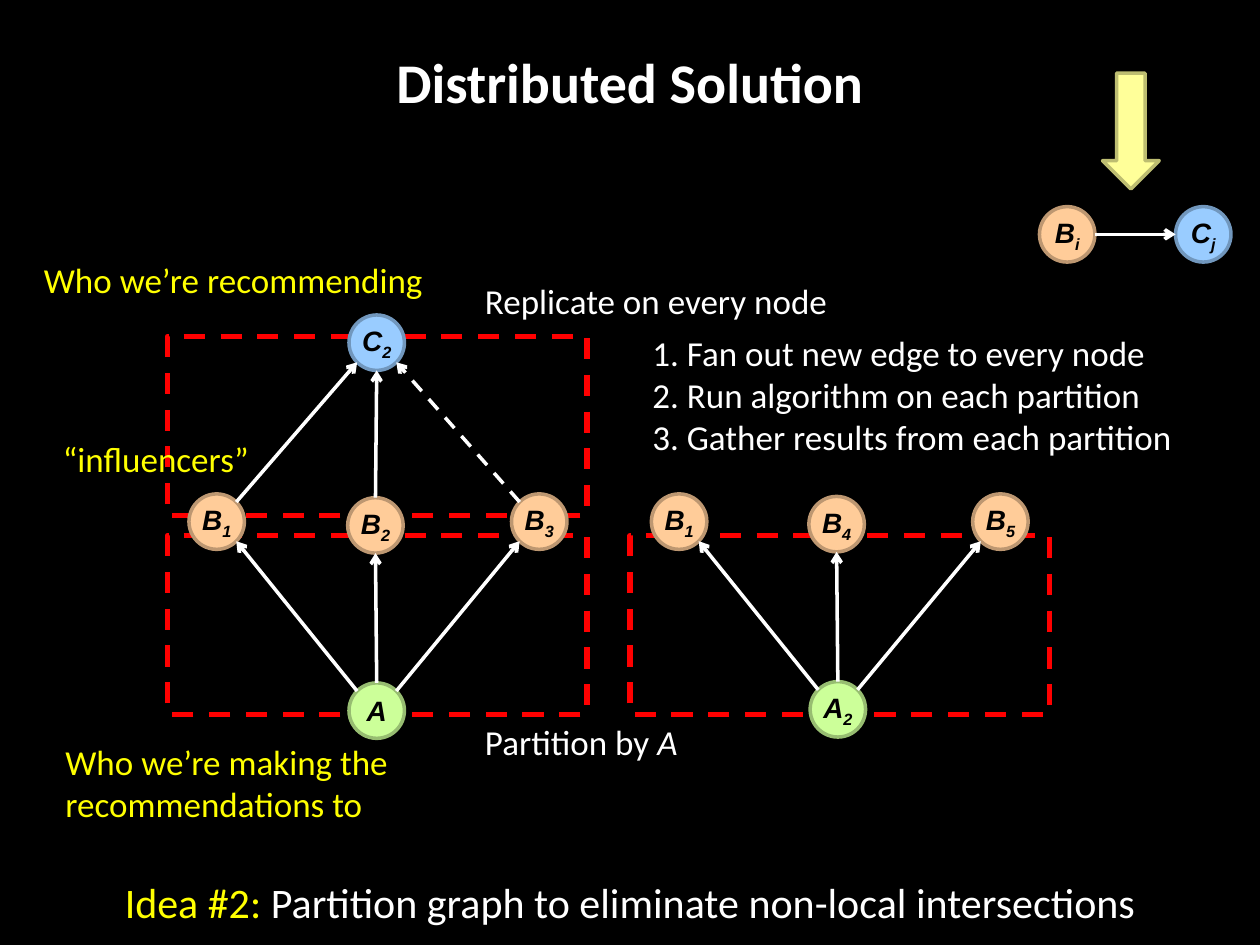
from math import cos, radians, sin

from lxml.etree import SubElement
from pptx import Presentation
from pptx.dml.color import RGBColor
from pptx.enum.dml import MSO_LINE
from pptx.enum.shapes import MSO_CONNECTOR, MSO_SHAPE as SHAPE
from pptx.enum.text import MSO_ANCHOR as ANCHOR, MSO_AUTO_SIZE as AUTO, PP_ALIGN as ALIGN
from pptx.oxml.ns import qn
from pptx.util import Inches, Pt

BLACK = RGBColor(0x00, 0x00, 0x00)
WHITE = RGBColor(0xFF, 0xFF, 0xFF)
YELLOW = RGBColor(0xFF, 0xFF, 0x00)
RED = RGBColor(0xFF, 0x00, 0x00)
ARROW_FILL = RGBColor(0xFF, 0xFF, 0x99)
ARROW_LINE = RGBColor(0xBD, 0xBD, 0x71)
NODE_COLORS = {
    "A": (RGBColor(0xCC, 0xFF, 0x99), RGBColor(0x97, 0xBD, 0x71)),
    "B": (RGBColor(0xFF, 0xCC, 0x99), RGBColor(0xBD, 0x97, 0x71)),
    "C": (RGBColor(0x99, 0xCC, 0xFF), RGBColor(0x71, 0x97, 0xBD)),
}
NODE_SIZE = 0.44

TITLE = "Distributed Solution"
PARTITIONS = [(1.33, 4.25), (1.33, 2.67), (5, 4.25)]
NODES = {
    "a": ("A", "", 2.77, 5.42),
    "b1": ("B", "1", 1.5, 3.92),
    "b2": ("B", "2", 2.76, 3.95),
    "b3": ("B", "3", 4.06, 3.92),
    "c2": ("C", "2", 2.77, 2.5),
    "a2": ("A", "2", 6.43, 5.41),
    "b1_copy": ("B", "1", 5.17, 3.92),
    "b4": ("B", "4", 6.42, 3.94),
    "b5": ("B", "5", 7.72, 3.92),
    "bi": ("B", "i", 8.25, 1.64),
    "cj": ("C", "j", 9.33, 1.64),
}
ANGLES = {"right": 0, "lower right": 45, "bottom": 90, "lower left": 135,
          "left": 180, "upper left": 225, "top": 270, "upper right": 315}
EDGES = [
    ("a", "upper left", "b1", "lower right", False),
    ("a", "top", "b2", "bottom", False),
    ("a", "upper right", "b3", "lower left", False),
    ("b1", "upper right", "c2", "lower left", False),
    ("b2", "top", "c2", "bottom", False),
    ("b3", "upper left", "c2", "lower right", True),
    ("a2", "upper left", "b1_copy", "lower right", False),
    ("a2", "top", "b4", "bottom", False),
    ("a2", "upper right", "b5", "lower left", False),
    ("bi", "right", "cj", "left", False),
]
LABELS = [
    ("Who we’re making the recommendations to", YELLOW, 0.42, 5.83, 2.92, 0.77),
    ("Who we’re recommending", YELLOW, 0.25, 2, 3.5, 0.44),
    ("“influencers”", YELLOW, 0.4, 3.42, 1.94, 0.44),
    ("Replicate on every node", WHITE, 3.75, 2.17, 3.42, 0.44),
]
STEPS = ["Fan out new edge to every node", "Run algorithm on each partition",
         "Gather results from each partition"]


def write(p, text, size=20, color=WHITE, font="Calibri", bold=False, italic=False, sub=False):
    r = p.add_run()
    r.text = text
    f = r.font
    f.size, f.name, f.bold, f.italic = Pt(size), font, bold, italic
    f.color.rgb = color
    if sub:
        f._element.set("baseline", "-25000")


def add_box(slide, x, y, w, h, align=ALIGN.LEFT):
    tf = slide.shapes.add_textbox(Inches(x), Inches(y), Inches(w), Inches(h)).text_frame
    tf.word_wrap = True
    tf.auto_size = AUTO.SHAPE_TO_FIT_TEXT
    p = tf.paragraphs[0]
    p.alignment = align
    return p


def add_shape(slide, kind, x, y, w, h, line, width, fill=None):
    sp = slide.shapes.add_shape(kind, Inches(x), Inches(y), Inches(w), Inches(h))
    sp.shadow.inherit = False
    if fill is None:
        sp.fill.background()
    else:
        sp.fill.solid()
        sp.fill.fore_color.rgb = fill
    sp.line.color.rgb = line
    sp.line.width = Pt(width)
    return sp


def add_node(slide, letter, index, x, y):
    fill, line = NODE_COLORS[letter]
    sp = add_shape(slide, SHAPE.OVAL, x, y, NODE_SIZE, NODE_SIZE, line, 2, fill)
    tf = sp.text_frame
    tf.margin_left = tf.margin_top = tf.margin_right = tf.margin_bottom = 0
    tf.vertical_anchor = ANCHOR.MIDDLE
    p = tf.paragraphs[0]
    p.alignment = ALIGN.CENTER
    style = dict(size=16, color=BLACK, font="Arial", bold=True, italic=True)
    write(p, letter, **style)
    if index:
        write(p, index, sub=True, **style)


def rim_point(node, side):
    x, y = NODES[node][2:]
    radius, angle = NODE_SIZE / 2, radians(ANGLES[side])
    return Inches(x + radius + radius * cos(angle)), Inches(y + radius + radius * sin(angle))


def add_edge(slide, start, start_side, end, end_side, dashed):
    cx = slide.shapes.add_connector(
        MSO_CONNECTOR.STRAIGHT, *rim_point(start, start_side), *rim_point(end, end_side))
    cx.line.color.rgb = WHITE
    cx.line.width = Pt(2)
    if dashed:
        cx.line.dash_style = MSO_LINE.DASH
    SubElement(cx.line._get_or_add_ln(), qn("a:tailEnd"), type="arrow")
    SubElement(cx._element.spPr, qn("a:effectLst"))


def main():
    prs = Presentation()
    prs.slide_width, prs.slide_height = Inches(10), Inches(7.5)
    slide = prs.slides.add_slide(prs.slide_layouts[5])
    slide.background.fill.solid()
    slide.background.fill.fore_color.rgb = BLACK

    title = slide.shapes.title
    title.left, title.top = Inches(0), Inches(0.33)
    title.width, title.height = Inches(10), Inches(0.64)
    tf = title.text_frame
    tf.auto_size = AUTO.NONE
    tf.vertical_anchor = ANCHOR.TOP
    tf.paragraphs[0].alignment = ALIGN.CENTER
    write(tf.paragraphs[0], TITLE, size=32, bold=True)

    for x, y in PARTITIONS:
        sp = add_shape(slide, SHAPE.RECTANGLE, x, y, 3.33, 1.42, RED, 3)
        sp.line.dash_style = MSO_LINE.DASH
    for node in NODES.values():
        add_node(slide, *node)
    for edge in EDGES:
        add_edge(slide, *edge)
    add_shape(slide, SHAPE.DOWN_ARROW, 8.75, 0.58, 0.45, 0.92, ARROW_LINE, 2, ARROW_FILL)

    for text, color, *place in LABELS:
        write(add_box(slide, *place), text, color=color)
    p = add_box(slide, 3.75, 5.67, 1.92, 0.44)
    write(p, "Partition by ")
    write(p, "A", italic=True)
    for i, step in enumerate(STEPS):
        write(add_box(slide, 5.08, 2.58 + i / 3, 4.67, 0.44), f"{i + 1}. {step}")

    p = add_box(slide, 0, 6.91, 10, 0.5, align=ALIGN.CENTER)
    write(p, "Idea #2:", size=24, color=YELLOW)
    write(p, " Partition graph to eliminate non-local intersections", size=24)

    prs.save("out.pptx")


if __name__ == "__main__":
    main()
